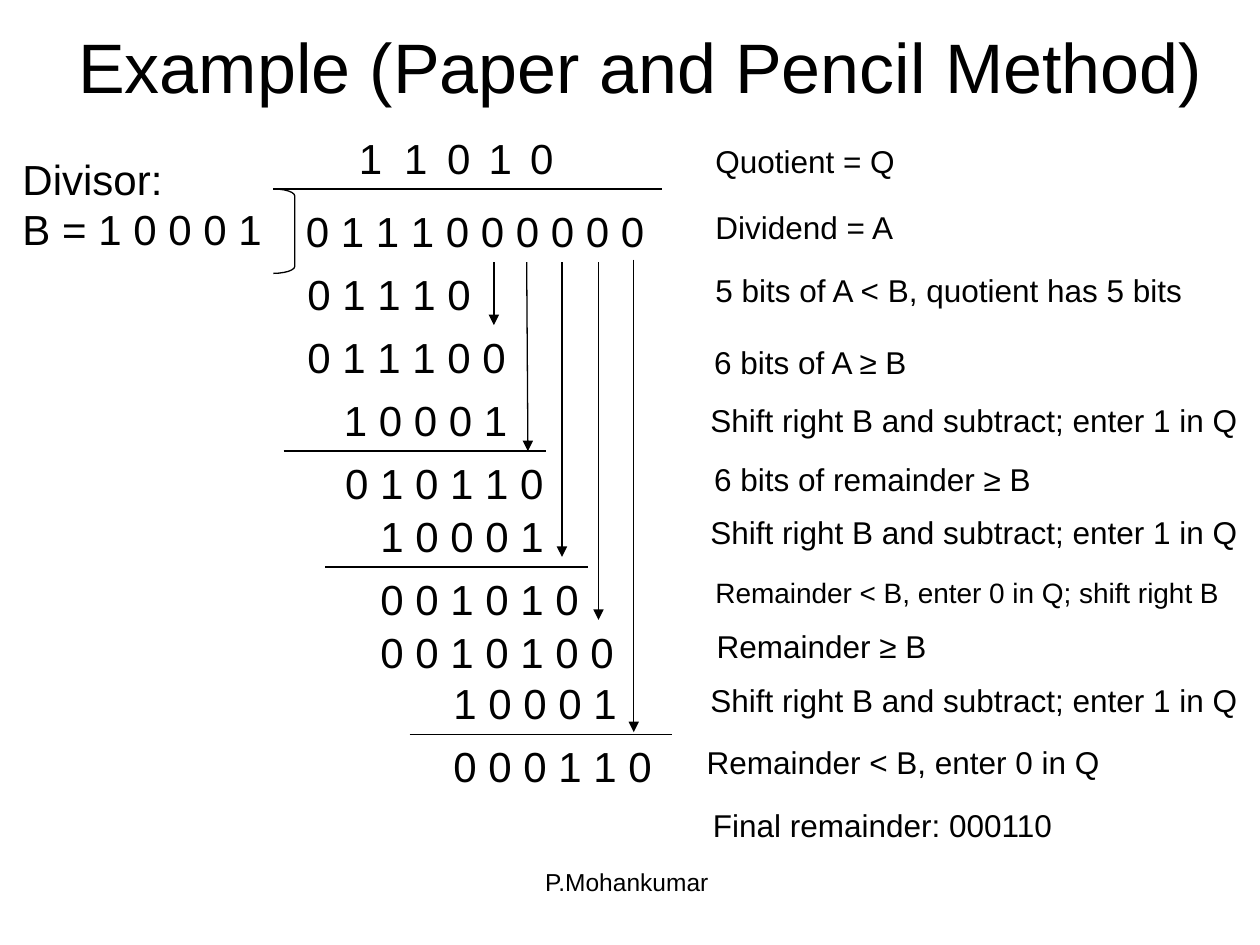
from lxml.etree import SubElement
from pptx import Presentation
from pptx.dml.color import RGBColor
from pptx.enum.shapes import MSO_CONNECTOR, MSO_SHAPE
from pptx.enum.text import MSO_ANCHOR, MSO_AUTO_SIZE, PP_ALIGN
from pptx.oxml.ns import qn
from pptx.util import Inches, Pt

COLORS = {"ink": "000000", "paper": "FFFFFF"}
FONT = "Arial"

TITLE = "Example (Paper and Pencil Method)"
FOOTER = "P.Mohankumar"
DIVISOR = ["Divisor:", "B = 1 0 0 0 1"]

# Quotient digits: digit, left
QUOTIENT = [("1", 2.75), ("1", 3.11), ("0", 3.45), ("1", 3.78), ("0", 4.11)]

# Long division rows: bits, left, top
DIVISION_ROWS = [
    ("0111000000", 2.33, 1.58),
    ("01110", 2.34, 2.08),
    ("011100", 2.34, 2.58),
    ("10001", 2.63, 3.08),
    ("010110", 2.64, 3.58),
    ("10001", 2.92, 4),
    ("001010", 2.92, 4.5),
    ("0010100", 2.92, 4.92),
    ("10001", 3.5, 5.33),
    ("000110", 3.5, 5.83),
]

# Explanations: text, left, top, width, size
SHIFT = "Shift right B and subtract; enter 1 in Q"
STEPS = [
    ("Quotient = Q", 5.58, 1.08, 1.64, 18),
    ("Dividend = A", 5.58, 1.6, 1.64, 18),
    ("5 bits of A < B, quotient has 5 bits", 5.58, 2.1, 3.93, 18),
    ("6 bits of A ≥ B", 5.57, 2.67, 1.82, 18),
    (SHIFT, 5.54, 3.13, 4.38, 18),
    ("6 bits of remainder ≥ B", 5.57, 3.6, 2.78, 18),
    (SHIFT, 5.54, 4.02, 4.38, 18),
    ("Remainder < B, enter 0 in Q; shift right B", 5.58, 4.52, 4.42, 16),
    ("Remainder ≥ B", 5.59, 4.93, 1.93, 18),
    (SHIFT, 5.54, 5.36, 4.38, 18),
    ("Remainder < B, enter 0 in Q", 5.51, 5.85, 3.32, 18),
    ("Final remainder: 000110", 5.56, 6.35, 2.91, 18),
]

# Rules: left, right, y
RULES = [(2.17, 5.25, 1.5), (2.25, 4.33, 3.58), (2.58, 4.67, 4.5), (3.25, 5.33, 5.83)]

# Bring-down arrows: start x, start y, end x, end y
BRING_DOWNS = [
    (3.92, 2.08, 3.92, 2.58),
    (4.18, 2.08, 4.19, 3.58),
    (4.46, 2.08, 4.46, 4.42),
    (4.75, 2.08, 4.75, 4.92),
    (5.03, 2.06, 5.03, 5.81),
]

prs = Presentation()
prs.slide_width, prs.slide_height = Inches(10), Inches(7.5)
slide = prs.slides.add_slide(prs.slide_layouts[6])
slide.background.fill.solid()
slide.background.fill.fore_color.rgb = RGBColor.from_string(COLORS["paper"])


def add_text(lines, left, top, width, height, size, align=PP_ALIGN.LEFT, wrap=False):
    box = slide.shapes.add_textbox(Inches(left), Inches(top), Inches(width), Inches(height))
    frame = box.text_frame
    frame.word_wrap = wrap
    frame.auto_size = MSO_AUTO_SIZE.NONE if wrap else MSO_AUTO_SIZE.SHAPE_TO_FIT_TEXT
    for i, line in enumerate(lines):
        paragraph = frame.paragraphs[0] if i == 0 else frame.add_paragraph()
        paragraph.alignment = align
        run = paragraph.add_run()
        run.text = line
        run.font.size = Pt(size)
        run.font.name = FONT
        run.font.color.rgb = RGBColor.from_string(COLORS["ink"])
    return frame


def style_line(line):
    line.color.rgb = RGBColor.from_string(COLORS["ink"])
    line.width = Pt(0.75)


def add_line(x1, y1, x2, y2, arrow=False):
    connector = slide.shapes.add_connector(
        MSO_CONNECTOR.STRAIGHT, Inches(x1), Inches(y1), Inches(x2), Inches(y2))
    style_line(connector.line)
    properties = connector._element.spPr
    if arrow:
        SubElement(properties.find(qn("a:ln")), qn("a:tailEnd"), type="triangle")
    SubElement(properties, qn("a:effectLst"))


# Title and footer
title = add_text([TITLE], 0.5, 0.17, 9.16, 0.7, 40, PP_ALIGN.CENTER, wrap=True)
title.vertical_anchor = MSO_ANCHOR.MIDDLE
title.margin_left = title.margin_right = title.margin_top = title.margin_bottom = 0
add_text([FOOTER], 3.39, 6.83, 3.17, 0.52, 14, PP_ALIGN.CENTER, wrap=True)

# Divisor and its bracket
add_text(DIVISOR, 0.08, 1.17, 2.11, 0.9, 24)
bracket = slide.shapes.add_shape(
    MSO_SHAPE.RIGHT_BRACKET, Inches(2.17), Inches(1.5), Inches(0.17), Inches(0.67))
bracket.adjustments[0] = 0.33
bracket.shadow.inherit = False
bracket.fill.background()
style_line(bracket.line)

# Quotient and long division; each bit takes 0.28 in
for digit, left in QUOTIENT:
    add_text([digit], left, 1, 0.39, 0.5, 24)
for bits, left, top in DIVISION_ROWS:
    add_text([" ".join(bits)], left, top, 0.11 + 0.28 * len(bits), 0.5, 24)

# Rules and bring-down arrows
for left, right, y in RULES:
    add_line(left, y, right, y)
for arrow_ends in BRING_DOWNS:
    add_line(*arrow_ends, arrow=True)

# Explanations: the longest one fills a fixed box, the rest fit their text
for text, left, top, width, size in STEPS:
    add_text([text], left, top, width, 0.4, size, wrap=size == 16)

prs.save("out.pptx")
